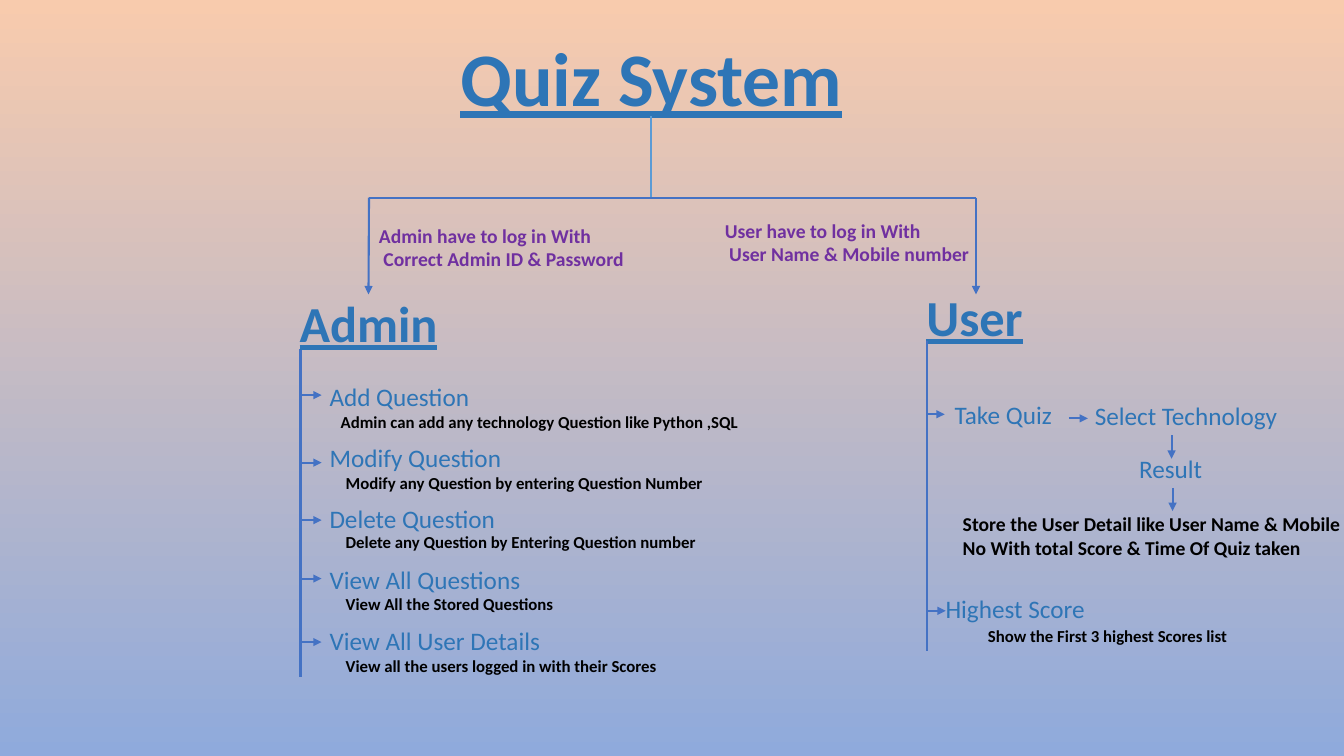
"""Build the Quiz System flow slide."""
from dataclasses import dataclass
from typing import Optional

from lxml.etree import SubElement
from pptx import Presentation
from pptx.dml.color import RGBColor
from pptx.enum.shapes import MSO_CONNECTOR as CONN
from pptx.enum.text import MSO_ANCHOR as ANCHOR, PP_ALIGN as ALIGN
from pptx.oxml.ns import qn
from pptx.util import Inches, Pt

BLUE, LINE, TRUNK = "2E75B6", "4472C4", "5B9BD5"
PURPLE, BLACK = "7030A0", "000000"


@dataclass
class Style:
    size: int
    color: str
    bold: bool = True
    underline: bool = False
    gap: int = 0
    spacing: Optional[float] = None
    align: Optional[ALIGN] = None


TITLE = Style(54, BLUE, underline=True, spacing=0.9, align=ALIGN.CENTER)
ADMIN = Style(36, BLUE, underline=True, spacing=0.9, align=ALIGN.CENTER)
ROLE = Style(36, BLUE, underline=True)
STEP = Style(18, BLUE, bold=False)
MENU = Style(18, BLUE, bold=False, gap=22)
LOGIN = Style(14, PURPLE)
RESULT_NOTE = Style(14, BLACK)
NOTE = Style(12, BLACK)


@dataclass
class Label:
    left: float
    top: float
    width: float
    height: float
    style: Style
    lines: tuple


@dataclass
class Link:
    x1: float
    y1: float
    x2: float
    y2: float
    arrow: bool = True
    color: str = LINE


LABELS = [
    Label(9.09, 2.79, 1.27, 0.71, ROLE, ("User",)),
    Label(3.17, 3.73, 2.54, 2.88, MENU,
          ("Add Question", "Modify Question", "Delete Question",
           "View All Questions", "View All User Details")),
    Label(10.76, 3.92, 2.19, 0.4, STEP, ("Select Technology",)),
    Label(11.2, 4.45, 0.83, 0.4, STEP, ("Result",)),
    Label(9.28, 5.84, 1.6, 0.4, STEP, ("Highest Score",)),
    Label(3.66, 2.17, 2.69, 0.58, LOGIN,
          ("Admin have to log in With", " Correct Admin ID & Password")),
    Label(7.09, 2.12, 2.7, 0.57, LOGIN,
          ("User have to log in With", " User Name & Mobile number")),
    Label(3.28, 4.04, 4.45, 0.3, NOTE,
          ("Admin can add any technology Question like Python ,SQL",)),
    Label(3.33, 4.64, 4.09, 0.3, NOTE,
          ("Modify any Question by entering Question Number",)),
    Label(3.33, 5.23, 4.09, 0.3, NOTE,
          ("Delete any Question by Entering Question number",)),
    Label(3.33, 5.84, 2.63, 0.3, NOTE, ("View All the Stored Questions",)),
    Label(3.33, 6.46, 3.67, 0.3, NOTE,
          ("View all the users logged in with their Scores",)),
    Label(9.45, 5.03, 4.09, 0.57, RESULT_NOTE,
          ("Store the User Detail like User Name & Mobile No "
           "With total Score & Time Of Quiz taken",)),
    Label(9.7, 6.16, 2.88, 0.3, NOTE,
          ("Show the First 3 highest Scores list",)),
]

LINKS = [
    Link(6.46, 1.15, 6.46, 1.96, arrow=False, color=TRUNK),
    Link(3.66, 1.96, 9.68, 1.96, arrow=False),
    Link(9.68, 1.96, 9.68, 2.92),
    Link(2.98, 3.46, 2.98, 6.72, arrow=False),
    Link(9.19, 3.38, 9.19, 6.46, arrow=False),
    Link(9.19, 6.06, 9.38, 6.06),
    Link(10.6, 4.15, 10.79, 4.15),
    Link(11.62, 4.32, 11.62, 4.55),
    Link(11.63, 4.84, 11.63, 5.07),
    *(Link(3, y, 3.19, y) for y in (3.92, 4.59, 5.16, 5.74, 6.37)),
]


def rgb(value: str) -> RGBColor:
    return RGBColor.from_string(value)


def write(tf, lines: tuple, style: Style) -> None:
    tf.word_wrap = True
    for i, line in enumerate(lines):
        p = tf.add_paragraph() if i else tf.paragraphs[0]
        if i and style.gap:
            p.space_before = Pt(style.gap)
        if style.spacing:
            p.line_spacing = style.spacing
        p.alignment = style.align
        r = p.add_run()
        r.text = line
        r.font.name = "Calibri"
        r.font.size = Pt(style.size)
        r.font.bold = style.bold
        r.font.underline = style.underline
        r.font.color.rgb = rgb(style.color)


def draw_label(slide, label: Label):
    sp = slide.shapes.add_textbox(Inches(label.left), Inches(label.top),
                                  Inches(label.width), Inches(label.height))
    write(sp.text_frame, label.lines, label.style)
    return sp


def draw_link(slide, link: Link):
    cxn = slide.shapes.add_connector(CONN.STRAIGHT, Inches(link.x1), Inches(link.y1),
                                     Inches(link.x2), Inches(link.y2))
    cxn.line.color.rgb = rgb(link.color)
    cxn.line.width = Pt(1.5)
    if link.arrow:
        SubElement(cxn.line._get_or_add_ln(), qn("a:tailEnd"), type="triangle")
    SubElement(cxn._element.spPr, qn("a:effectLst"))
    return cxn


def draw_title(slide) -> None:
    sp = slide.shapes.title
    sp.left, sp.top = Inches(3.97), Inches(0.33)
    sp.width, sp.height = Inches(4.98), Inches(0.94)
    sp.text_frame.vertical_anchor = ANCHOR.BOTTOM
    write(sp.text_frame, ("Quiz System",), TITLE)


def draw_background(slide) -> None:
    fill = slide.background.fill
    fill.gradient()
    fill.gradient_angle = 270
    for stop, position, color in zip(fill.gradient_stops, (0, 1), ("F8CBAD", "8FAADC")):
        stop.position = position
        stop.color.rgb = rgb(color)


def main() -> None:
    prs = Presentation()
    prs.slide_width, prs.slide_height = Inches(13.33), Inches(7.5)
    slide = prs.slides.add_slide(prs.slide_layouts[5])
    draw_background(slide)
    draw_title(slide)
    for label in LABELS:
        draw_label(slide, label)
    for link in LINKS:
        draw_link(slide, link)
    admin = draw_label(slide, Label(1.11, 2.92, 5.09, 0.58, ADMIN, ("Admin",)))
    draw_link(slide, Link(3.66, 1.96, 3.66, 2.92)).end_connect(admin, 0)
    take_quiz = draw_label(slide, Label(9.37, 3.91, 1.27, 0.4, STEP, ("Take Quiz",)))
    draw_link(slide, Link(9.19, 4.11, 9.37, 4.11)).end_connect(take_quiz, 1)
    prs.save("out.pptx")


if __name__ == "__main__":
    main()
